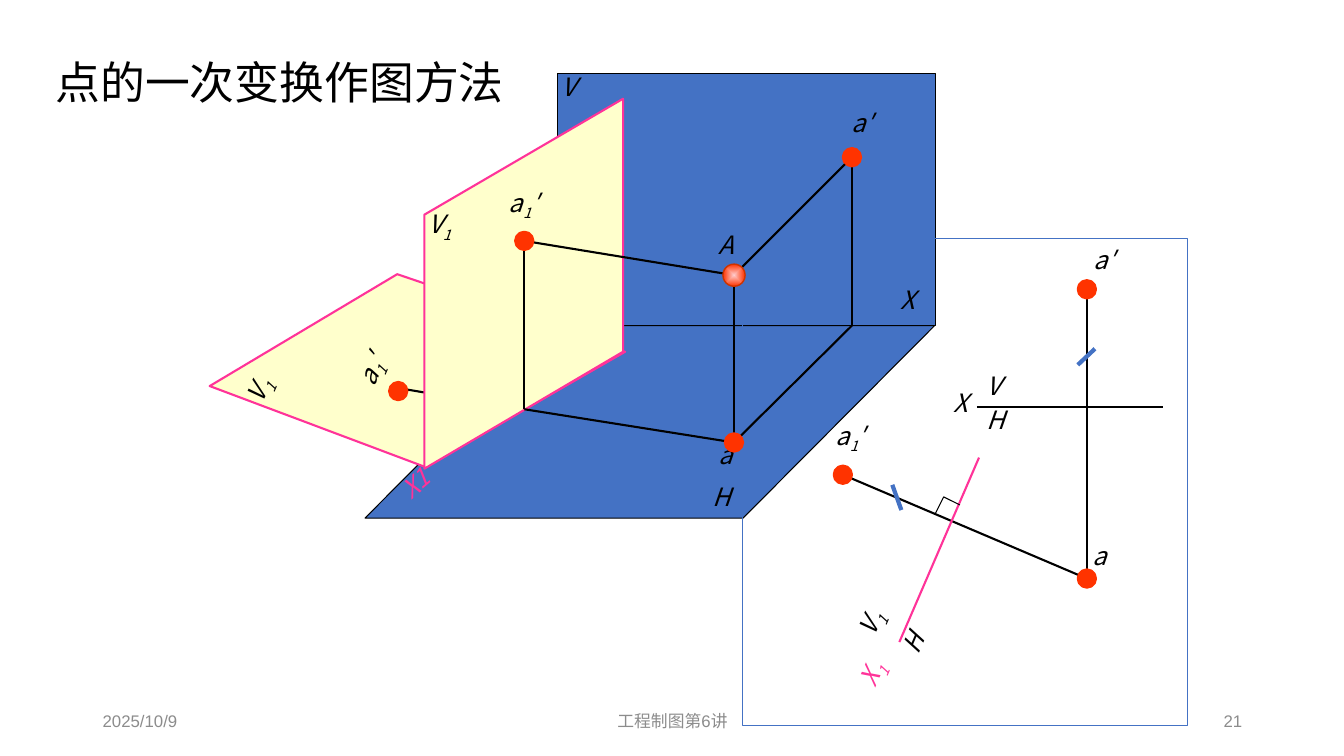
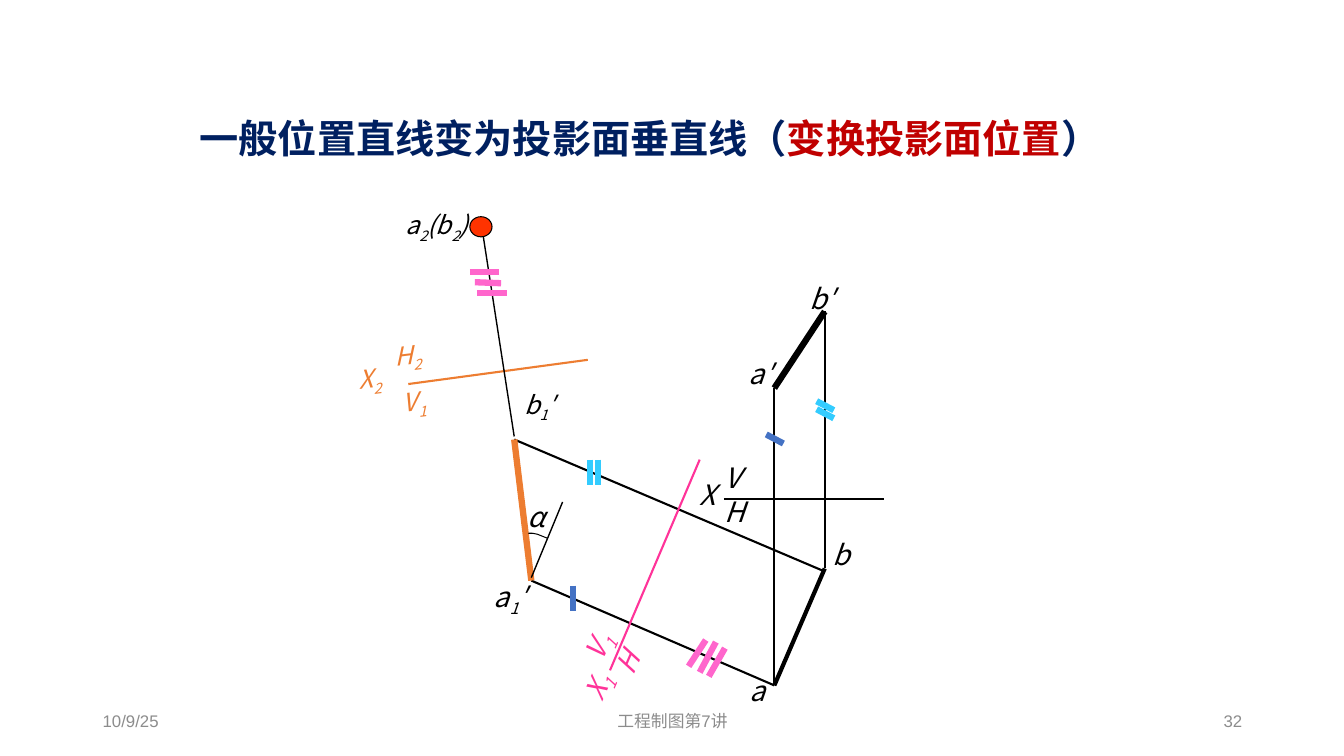
from dataclasses import dataclass
from lxml import etree
from pptx import Presentation
from pptx.dml.color import RGBColor
from pptx.enum.shapes import MSO_CONNECTOR, MSO_SHAPE
from pptx.enum.text import MSO_ANCHOR, MSO_AUTO_SIZE, PP_ALIGN
from pptx.oxml.ns import qn
from pptx.util import Cm, Pt


@dataclass(frozen=True)
class Theme:
    black: str = "000000"
    grey: str = "8C8C8C"
    blue: str = "4472C4"
    cream: str = "FFFFCC"
    red: str = "FF3300"
    dark_red: str = "CC3300"
    blush: str = "FFCCCC"
    pink: str = "FF3399"
    rose: str = "FF66CC"
    sky: str = "33CCFF"
    orange: str = "ED7D31"
    navy: str = "002060"
    crimson: str = "C00000"
    font: str = "Noto Sans CJK SC"
    footer_font: str = "Arial"
    footer_size: int = 12
    label_size: int = 18
    large_label_size: int = 20
    title_size: int = 32
    bold_title_size: int = 28
    hair: float = 0.75
    thin: float = 1
    normal: float = 1.5
    bold: float = 3
    heavy: float = 4.5


T = Theme()
UNIT = 2.54  # centimetres in one drawing unit
DOT_RADIUS = 0.08


def length(v):
    return Cm(v * UNIT)


def set_all(obj, fmt):
    for name, value in fmt.items():
        setattr(obj, name, value)


class Deck:
    """Holds the presentation, its style and the current slide."""

    def __init__(self):
        self.prs = Presentation()
        self.prs.slide_width, self.prs.slide_height = length(13.33), length(7.5)
        self.s = None

    def slide(self, date, footer, number):
        self.s = self.prs.slides.add_slide(self.prs.slide_layouts[5])
        fmt = {"size": Pt(T.footer_size), "name": T.footer_font}
        for text, x, w, align in ((date, 0.92, 3, PP_ALIGN.LEFT),
                                  (footer, 4.42, 4.5, PP_ALIGN.CENTER),
                                  (number, 9.42, 3, PP_ALIGN.RIGHT)):
            tf = self.s.shapes.add_textbox(*map(length, (x, 6.95, w, 0.4))).text_frame
            set_all(tf, {"word_wrap": True, "vertical_anchor": MSO_ANCHOR.MIDDLE})
            tf.paragraphs[0].alignment = align
            self.run(tf.paragraphs[0], text, T.grey, fmt)

    def run(self, p, text, color, fmt, base=0):
        r = p.add_run()
        r.text = text
        set_all(r.font, fmt)
        r.font.color.rgb = RGBColor.from_string(color)
        rPr = r.font._element
        etree.SubElement(rPr, qn("a:ea")).set("typeface", T.font)
        if base:
            rPr.set("baseline", str(base))

    def title(self, box, parts, size, bold=False):
        sp = self.s.shapes.title
        set_all(sp, dict(zip(("left", "top", "width", "height"), map(length, box))))
        tf = sp.text_frame
        set_all(tf, {"word_wrap": True, "auto_size": MSO_AUTO_SIZE.NONE,
                     "vertical_anchor": MSO_ANCHOR.TOP})
        p = tf.paragraphs[0]
        set_all(p, {"alignment": PP_ALIGN.LEFT, "line_spacing": 0.9})
        for text, color in parts:
            self.run(p, text, color, {"size": Pt(size), "bold": bold, "name": T.font})

    def label(self, text, x, y, w=0.67, color=T.black, rot=0, size=T.label_size):
        """Italic label; the character after an underscore is a subscript."""
        h = 0.5 if size == T.label_size else 0.43
        sp = self.s.shapes.add_textbox(*map(length, (x, y, w, h)))
        sp.rotation = rot
        tf = sp.text_frame
        set_all(tf, {"word_wrap": True, "auto_size": MSO_AUTO_SIZE.SHAPE_TO_FIT_TEXT})
        p = tf.paragraphs[0]
        fmt = {"size": Pt(size), "italic": True, "name": T.font}
        head, *tails = text.split("_")
        self.run(p, head, color, fmt)
        for tail in tails:
            self.run(p, tail[0], color, fmt, base=-25000)
            if tail[1:]:
                self.run(p, tail[1:], color, fmt)

    def labels(self, rows, **style):
        for row in rows:
            self.label(*row, **style)

    def line(self, start, end, color=T.black, width=T.normal):
        c = self.s.shapes.add_connector(MSO_CONNECTOR.STRAIGHT, *map(length, start + end))
        c.line.color.rgb = RGBColor.from_string(color)
        c.line.width = Pt(width)
        etree.SubElement(c.element.spPr, qn("a:effectLst"))

    def lines(self, pairs, color=T.black, width=T.normal):
        for start, end in pairs:
            self.line(start, end, color, width)

    def paint(self, sp, fill, color, width):
        sp.shadow.inherit = False
        if fill:
            sp.fill.solid()
            sp.fill.fore_color.rgb = RGBColor.from_string(fill)
        else:
            sp.fill.background()
        sp.line.color.rgb = RGBColor.from_string(color)
        sp.line.width = Pt(width)
        return sp

    def shape(self, kind, box, fill, color, width):
        sp = self.s.shapes.add_shape(kind, *map(length, box))
        return self.paint(sp, fill, color, width)

    def outline(self, points, fill=None, color=T.black, width=T.hair):
        first, *rest = [tuple(map(length, pt)) for pt in points]
        fb = self.s.shapes.build_freeform(*first)
        fb.add_line_segments(rest, close=bool(fill))
        return self.paint(fb.convert_to_shape(), fill, color, width)

    def dot(self, center, rx=DOT_RADIUS, ry=DOT_RADIUS, color=T.red, width=T.bold):
        x, y = center
        box = (x - rx, y - ry, 2 * rx, 2 * ry)
        return self.shape(MSO_SHAPE.OVAL, box, T.red, color, width)

    def ball(self, center):
        """Dot with a glow from its middle."""
        sp = self.dot(center, 0.11, 0.11, T.dark_red, T.thin)
        sp.fill.gradient()
        for stop, color, pos in zip(sp.fill.gradient_stops, (T.blush, T.red), (0, 1)):
            stop.color.rgb = RGBColor.from_string(color)
            stop.position = pos
        grad = sp.element.spPr.find(qn("a:gradFill"))
        lin = grad.find(qn("a:lin"))
        glow = etree.Element(qn("a:path"), path="shape")
        etree.SubElement(glow, qn("a:fillToRect"), dict.fromkeys("ltrb", "50000"))
        grad.replace(lin, glow)


def point_slide(d):
    d.slide("2025/10/9", "工程制图第6讲", "21")
    d.title((0.45, 0.55, 8.55, 0.58), [("点的一次变换作图方法", T.black)], T.title_size)

    # New view in the flat drawing
    flat_a1, flat_a, flat_av = (8.36, 4.71), (10.78, 5.74), (10.78, 2.87)
    d.line(flat_a1, flat_a)
    d.label("a_1′", 8.19, 4.12)
    d.dot(flat_a1)

    # Planes H and V
    d.outline([(5.52, 3.23), (3.62, 5.14), (7.37, 5.14), (9.27, 3.23)], T.blue)
    d.shape(MSO_SHAPE.RECTANGLE, (5.53, 0.73, 3.75, 2.5), T.blue, T.black, T.hair)
    d.labels([("V", 5.47, 0.66), ("H", 6.97, 4.73), ("X", 8.83, 2.77)], w=0.5)

    # Flat drawing
    d.shape(MSO_SHAPE.RECTANGLE, (7.36, 2.37, 4.42, 4.83), None, T.blue, T.hair)
    d.lines([((9.69, 4.04), (11.53, 4.04)), (flat_av, flat_a)])
    d.labels([("a′", 10.75, 2.37), ("X", 9.36, 3.79), ("V", 9.69, 3.62),
              ("H", 9.69, 3.96), ("a", 10.74, 5.31)])
    d.dot(flat_av)
    d.dot(flat_a)

    # Plane V1 turned flat
    turned_a1, foot = (3.95, 3.88), (5.2, 4.06)
    d.outline([(4.21, 4.63), (2.08, 3.83), (3.94, 2.72), (6.2, 3.49)],
              T.cream, T.pink, T.normal)
    d.label("X1", 3.87, 4.47, 0.83, T.pink, 319.3)
    d.labels([("V_1", 2.24, 3.4, 0.94), ("a_1′", 3.32, 3.19, 1.03)], rot=293.4)
    d.line((3.95, 3.85), foot)
    d.dot(turned_a1)

    # Plane V1 standing
    space_a, a, av, a1 = (7.28, 2.73), (7.28, 4.39), (8.45, 1.56), (5.2, 2.39)
    corner = (8.45, 3.23)
    d.outline([(4.21, 4.65), (6.18, 3.49), (6.18, 0.98), (4.21, 2.13)],
              T.cream, T.pink, T.normal)
    d.labels([("V_1", 4.15, 2.02), ("a_1′", 4.95, 1.81)])
    d.lines([(a1, foot), (a, foot), (space_a, a1)])
    d.dot(a1)

    # Axis X1 in the flat drawing
    d.line((9.71, 4.54), (8.92, 6.37), T.pink)
    d.label("X_1", 8.35, 6.27, 0.83, T.pink, 293.1)
    d.labels([("H", 8.9, 6.13, 0.42), ("V_1", 8.33, 5.75, 0.86)], rot=293.1)
    d.lines([((10.86, 3.46), (10.69, 3.62)), ((8.85, 4.81), (8.94, 5.06))],
            T.blue, T.bold)

    # Point A and its projections
    d.labels([("a′", 8.35, 1.02), ("A", 7.03, 2.23)])
    d.lines([(av, corner), (corner, a), (av, space_a), (space_a, a)])
    d.label("a", 7.03, 4.31)
    d.dot(av)
    d.ball(space_a)
    d.dot(a)

    # Right angle mark
    d.outline([(9.28, 5.09), (9.36, 4.93), (9.52, 5.01)])


def line_slide(d):
    d.slide("10/9/25", "工程制图第7讲", "32")
    d.title((1.88, 1.14, 9.77, 0.57),
            [("一般位置直线变为投影面垂直线（", T.navy), ("变换投影面位置", T.crimson),
             ("）", T.navy)], T.bold_title_size, True)
    large = {"size": T.large_label_size}
    a, b, av, bv = (7.68, 6.8), (8.18, 5.64), (7.68, 3.85), (8.18, 3.09)
    a1, b1 = (5.27, 5.76), (5.1, 4.36)

    # First change: view on V1 and the angle
    d.lines([(b1, (8.18, 5.67)), (a1, a)])
    d.label("a_1′", 4.8, 5.7, 0.89, **large)
    d.line(b1, a1, T.orange, T.heavy)
    d.line((5.27, 5.73), (5.58, 4.98), width=T.thin)
    d.outline([(5.24, 5.29), (5.28, 5.29), (5.33, 5.3), (5.38, 5.32), (5.43, 5.34)])
    d.label("α", 5.13, 4.91, 0.45, **large)

    # Axis X1
    d.line((6.94, 4.56), (6.05, 6.65), T.pink)
    d.labels([("X_1", 5.58, 6.42, 0.83), ("V_1", 5.66, 6.14, 0.57),
              ("H", 6.01, 6.35, 0.42)], color=T.pink, rot=293.3, **large)

    # Given views
    d.lines([((7.18, 4.95), (8.77, 4.95)), (bv, b), (av, a)])
    d.line(b, a, width=T.bold)
    d.labels([("b", 8.16, 5.28), ("a", 7.34, 6.63), ("b′", 7.93, 2.74),
              ("a′", 7.33, 3.49), ("X", 6.84, 4.69), ("V", 7.09, 4.52),
              ("H", 7.09, 4.86)], **large)
    d.line(bv, av, width=T.heavy)

    # Equal distance ticks on the first change
    d.lines([((x, 4.56), (x, 4.81)) for x in (5.85, 5.93)]
            + [((8.1, y), (8.27, y + 0.09)) for y in (3.98, 4.06)], T.sky, T.heavy)
    d.lines([((5.68, 5.81), (5.68, 6.06)), ((7.6, 4.31), (7.77, 4.4))], T.blue, T.heavy)

    # Second change: axis X2 and the point view
    d.line((4.05, 3.81), (5.83, 3.57), T.orange)
    d.labels([("X_2", 3.46, 3.53, 0.82), ("H_2", 3.82, 3.31, 0.66),
              ("V_1", 3.9, 3.76, 0.76)], color=T.orange, rot=352.9)
    d.line((5.1, 4.33), (4.78, 2.26), width=T.thin)
    d.label("b_1′", 5.1, 3.81)
    d.dot((4.77, 2.25), 0.11, 0.1, T.black, T.hair)
    d.label("a_2(b_2)", 3.92, 2.03, 1.05)
    d.lines([((4.66, 2.7), (4.95, 2.7)), ((4.71, 2.8), (4.97, 2.81)),
             ((4.73, 2.91), (5.03, 2.91)), ((7.19, 6.43), (7.03, 6.71)),
             ((7.1, 6.37), (6.94, 6.67)), ((7, 6.35), (6.83, 6.61))], T.rose, T.heavy)


def main():
    d = Deck()
    point_slide(d)
    line_slide(d)
    d.prs.save("out.pptx")


if __name__ == "__main__":
    main()
